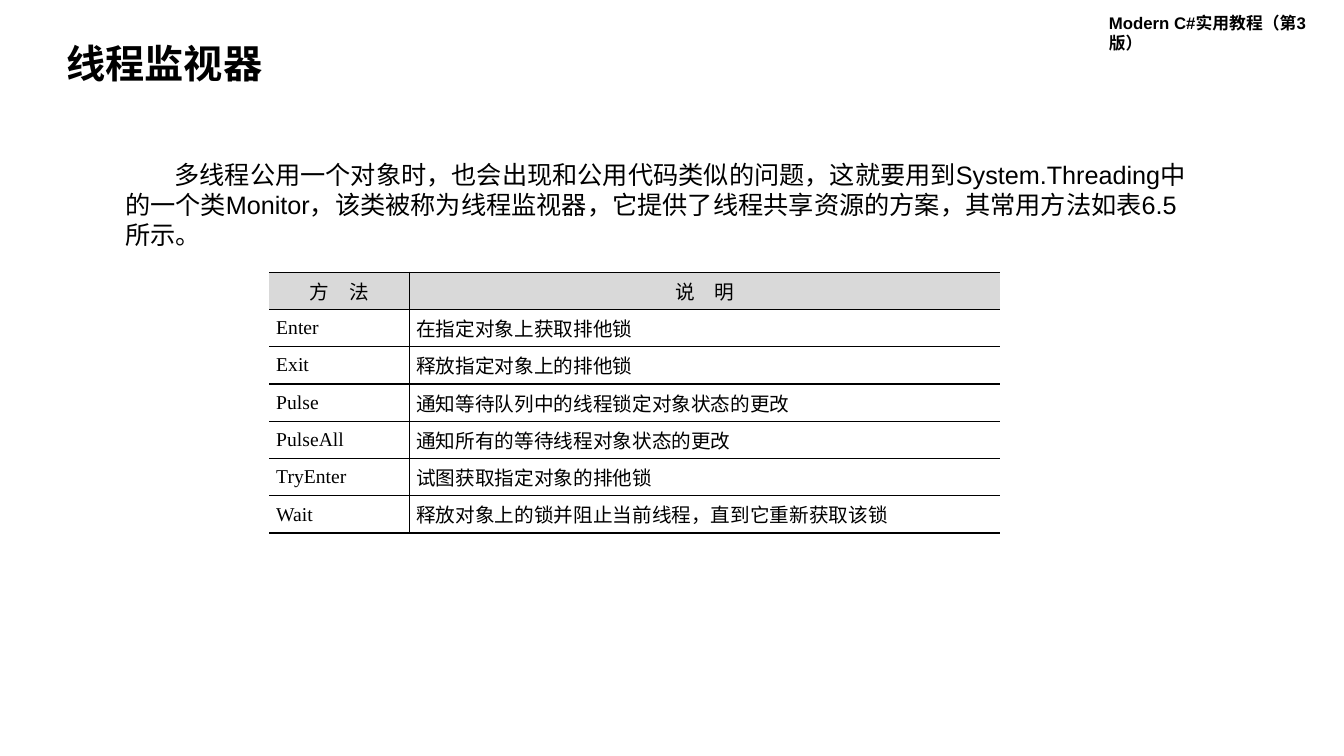
import pptx
import pptx.util
import pptx.dml.color
import pptx.enum.text
import pptx.oxml.ns
import lxml.etree

ALIGN = pptx.enum.text.PP_ALIGN
ANCHOR = pptx.enum.text.MSO_ANCHOR
AUTO = pptx.enum.text.MSO_AUTO_SIZE
INK = "000000"
HEADER_GRAY = "D9D9D9"
METHODS = [
    ("方　法", "说　明"),
    ("Enter", "在指定对象上获取排他锁"),
    ("Exit", "释放指定对象上的排他锁"),
    ("Pulse", "通知等待队列中的线程锁定对象状态的更改"),
    ("PulseAll", "通知所有的等待线程对象状态的更改"),
    ("TryEnter", "试图获取指定对象的排他锁"),
    ("Wait", "释放对象上的锁并阻止当前线程，直到它重新获取该锁"),
]


def rgb(value):
    """Turn a hex string into a colour."""
    return pptx.dml.color.RGBColor.from_string(value)


def add_xml(parent, tag, **attrs):
    """Append a DrawingML element with the given attributes."""
    return lxml.etree.SubElement(parent, pptx.oxml.ns.qn(tag), attrs)


def place(sp, box):
    """Move a shape to a box given in inches."""
    for name, value in zip(("left", "top", "width", "height"), box):
        setattr(sp, name, pptx.util.Inches(value))


def write(tf, text, size, bold=False, font="Arial", **paragraph):
    """Write one formatted paragraph and return it."""
    p = tf.paragraphs[0]
    r = p.add_run()
    r.text = text
    for name, value in {"name": font, "size": pptx.util.Pt(size), "bold": bold}.items():
        setattr(r.font, name, value)
    r.font.color.rgb = rgb(INK)
    for name, value in paragraph.items():
        setattr(p, name, value)
    return p


def set_frame(tf, anchor, auto_size):
    """Set wrapping, anchor and fitting of a text frame."""
    for name, value in {"word_wrap": True, "vertical_anchor": anchor, "auto_size": auto_size}.items():
        setattr(tf, name, value)


def add_book_name(s, box):
    """Add the book name in the top right corner."""
    sp = s.shapes.add_textbox(0, 0, 0, 0)
    place(sp, box)
    set_frame(sp.text_frame, ANCHOR.TOP, AUTO.SHAPE_TO_FIT_TEXT)
    write(sp.text_frame, "Modern C#实用教程（第3版）", 12, True)


def fill_title(s, box):
    """Fill the title placeholder."""
    sp = s.shapes.title
    place(sp, box)
    set_frame(sp.text_frame, ANCHOR.MIDDLE, AUTO.NONE)
    write(sp.text_frame, "线程监视器", 28, True, alignment=ALIGN.LEFT, line_spacing=0.9)


def fill_body(s, box):
    """Fill the body placeholder with the indented introduction."""
    sp = s.placeholders[1]
    place(sp, box)
    set_frame(sp.text_frame, ANCHOR.TOP, AUTO.SHAPE_TO_FIT_TEXT)
    pPr = sp.text_frame.paragraphs[0]._p.get_or_add_pPr()
    pPr.set("marL", "0")
    pPr.set("indent", str(pptx.util.Inches(0.49)))
    add_xml(pPr, "a:buNone")
    write(
        sp.text_frame,
        "多线程公用一个对象时，也会出现和公用代码类似的问题，这就要用到System.Threading中的一个类Monitor，"
        "该类被称为线程监视器，它提供了线程共享资源的方案，其常用方法如表6.5所示。",
        18,
        alignment=ALIGN.LEFT,
        space_before=pptx.util.Pt(0),
    )


def set_borders(cell, sides):
    """Draw black lines on the named sides and none on the others."""
    tcPr = cell._tc.get_or_add_tcPr()
    for side in "LRTB":
        ln = add_xml(tcPr, "a:ln" + side, w=str(pptx.util.Pt(1)))
        if side in sides:
            add_xml(add_xml(ln, "a:solidFill"), "a:srgbClr", val=INK)
        else:
            add_xml(ln, "a:noFill")


def add_methods_table(s, box):
    """Add the table of methods with open outer sides."""
    x, y, w, h = map(pptx.util.Inches, box)
    table = s.shapes.add_table(len(METHODS), 2, x, y, w, h).table
    table.first_row = table.horz_banding = False
    table.columns[0].width = pptx.util.Inches(1.39)
    table.columns[1].width = w - table.columns[0].width
    inset = pptx.util.Inches(0.07)
    layout = {"margin_left": inset, "margin_right": inset, "margin_top": 0,
              "margin_bottom": 0, "vertical_anchor": ANCHOR.MIDDLE}
    for i, row in enumerate(METHODS):
        for j, text in enumerate(row):
            cell = table.cell(i, j)
            for name, value in layout.items():
                setattr(cell, name, value)
            set_borders(cell, "LTB" if j else "RTB")
            if i == 0:
                cell.fill.solid()
                cell.fill.fore_color.rgb = rgb(HEADER_GRAY)
            else:
                cell.fill.background()
            write(cell.text_frame, text, 14, font="Times New Roman",
                  alignment=ALIGN.JUSTIFY if i else ALIGN.CENTER)


def main():
    """Build the slide and save it."""
    prs = pptx.Presentation()
    prs.slide_width = pptx.util.Inches(13.33)
    prs.slide_height = pptx.util.Inches(7.5)
    s = prs.slides.add_slide(prs.slide_layouts[1])
    add_book_name(s, (10.9, 0.08, 2.44, 0.3))
    fill_title(s, (0.56, 0.39, 5.41, 0.52))
    fill_body(s, (1.14, 1.53, 10.85, 1.01))
    add_methods_table(s, (2.67, 2.7, 7.25, 2.59))
    prs.save("out.pptx")


if __name__ == "__main__":
    main()
